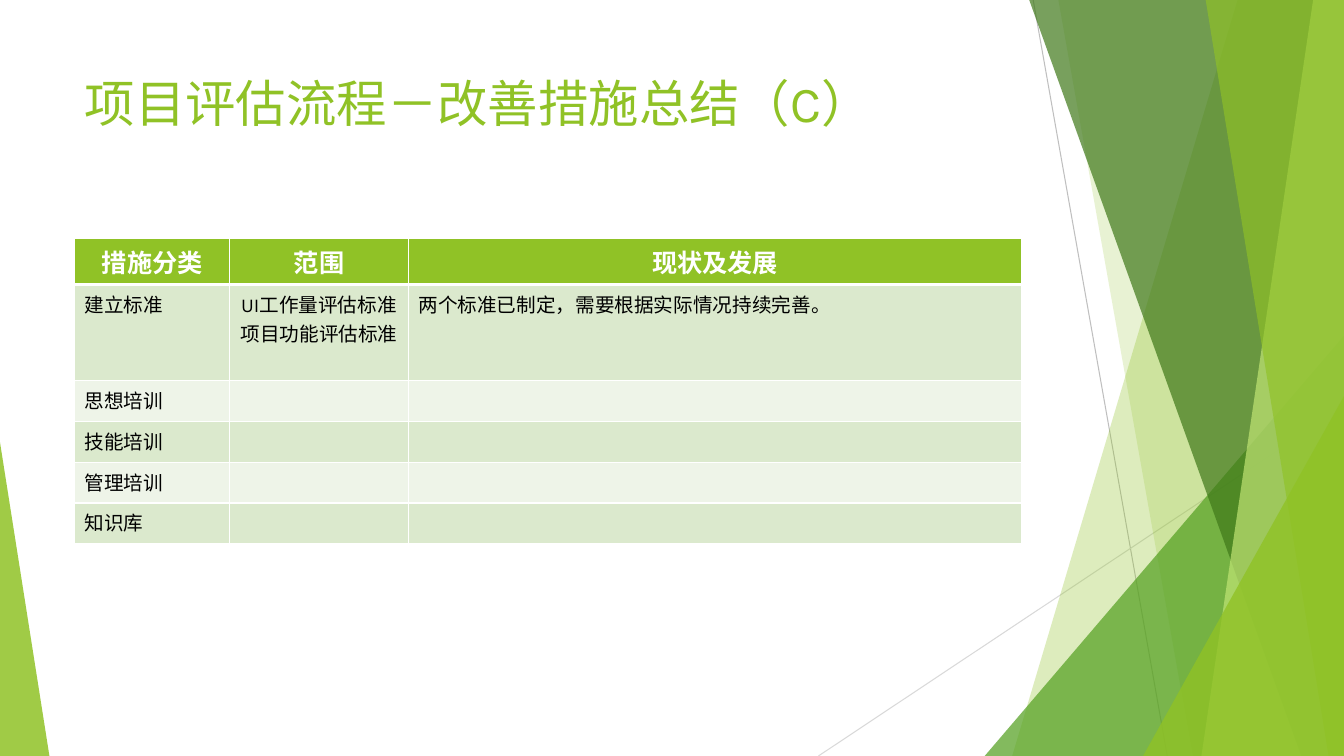
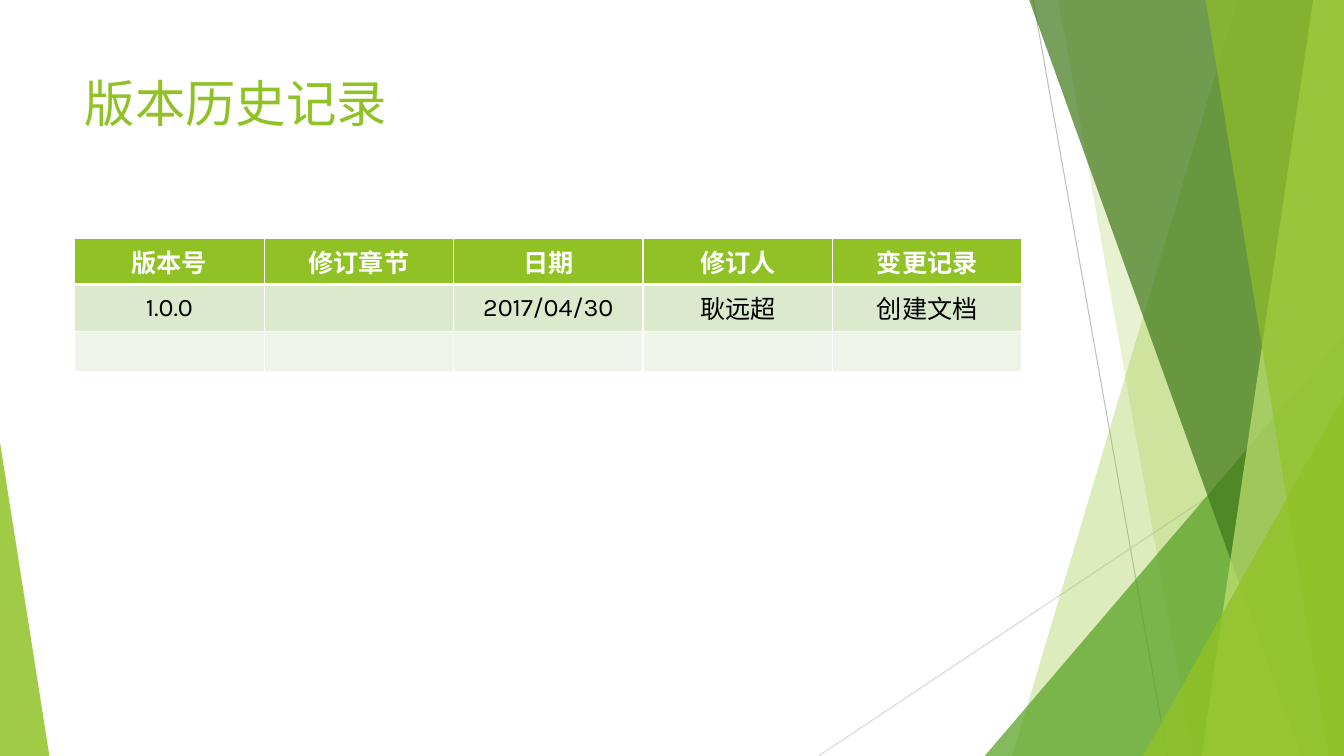
from lxml.etree import SubElement
from pptx import Presentation
from pptx.dml.color import RGBColor
from pptx.enum.shapes import MSO_CONNECTOR, MSO_SHAPE
from pptx.enum.text import MSO_ANCHOR as Anchor, MSO_AUTO_SIZE, PP_ALIGN as Align
from pptx.oxml.ns import qn
from pptx.util import Pt

WHITE = RGBColor(0xFF, 0xFF, 0xFF)
BLACK = RGBColor(0, 0, 0)
GREEN = RGBColor(0x90, 0xC2, 0x26)
LEAF = RGBColor(0x54, 0xA0, 0x21)
FOREST = RGBColor(0x3F, 0x78, 0x19)
LIME = RGBColor(0xC0, 0xE4, 0x74)
BAND_DARK = RGBColor(0xDB, 0xE9, 0xCD)
BAND_LIGHT = RGBColor(0xEE, 0xF4, 0xE8)
GRAY = RGBColor(0xBF, 0xBF, 0xBF)
PALE_GRAY = RGBColor(0xD9, 0xD9, 0xD9)

FONT = "Karla"
WIDTH, HEIGHT = 960, 540
LEFT, CONTENT_WIDTH = 53.3, 676.8
TITLE_TOP, TITLE_HEIGHT = 48, 104
TABLE_TOP, ROW_HEIGHT = 170, 29.2

PAGES = [
    {
        "title": "项目评估流程－改善措施总结（C）",
        "columns": [110.9, 127.5, 438.4],
        "aligns": [Align.LEFT, Align.CENTER, Align.LEFT],
        "anchor": Anchor.TOP,
        "body_size": 14,
        "rows": [
            ["措施分类", "范围", "现状及发展"],
            ["建立标准", "UI工作量评估标准\n项目功能评估标准",
             "两个标准已制定，需要根据实际情况持续完善。"],
            ["思想培训", "", ""],
            ["技能培训", "", ""],
            ["管理培训", "", ""],
            ["知识库", "", ""],
        ],
    },
    {
        "title": "版本历史记录",
        "columns": [CONTENT_WIDTH / 5] * 5,
        "aligns": [Align.CENTER] * 5,
        "anchor": Anchor.MIDDLE,
        "body_size": 18,
        "rows": [
            ["版本号", "修订章节", "日期", "修订人", "变更记录"],
            ["1.0.0", "", "2017/04/30", "耿远超", "创建文档"],
            [""] * 5,
        ],
    },
]

RAYS = [
    ((738, 0), (833.8, HEIGHT), GRAY),
    ((WIDTH, 290.2), (584.6, HEIGHT), PALE_GRAY),
]
FACETS = [
    ("band", (884, 723), GREEN, 30),
    ("band", (756, 852), GREEN, 20),
    ("corner", (703.4, 239.8, 256.6, 1), LEAF, 72),
    ("band", (735.2, 929.5), FOREST, 70),
    ("band", (938, 858.2), LIME, 70),
    ("band", (861.2, 949), GREEN, 65),
    ("corner", (816.5, 283, 143.5, 1), GREEN, 80),
    ("corner", (0, 316, 35.3, 0), GREEN, 85),
]


def add_ray(shapes, start, end, color):
    ray = shapes.add_connector(MSO_CONNECTOR.STRAIGHT, *map(Pt, start + end))
    ray.line.color.rgb = color
    ray.line.width = Pt(0.75)
    SubElement(ray.element.spPr, qn("a:effectLst"))
    return ray


def add_facet(shapes, kind, geometry, color, opacity):
    if kind == "band":
        top_x, bottom_x = geometry
        outline = shapes.build_freeform(Pt(top_x), 0)
        corners = [(WIDTH, 0), (WIDTH, HEIGHT), (bottom_x, HEIGHT)]
        outline.add_line_segments([(Pt(x), Pt(y)) for x, y in corners], close=True)
        facet = outline.convert_to_shape()
    else:
        left, top, width, apex = geometry
        facet = shapes.add_shape(MSO_SHAPE.ISOSCELES_TRIANGLE,
                                 Pt(left), Pt(top), Pt(width), Pt(HEIGHT - top))
        facet.adjustments[0] = apex
    facet.shadow.inherit = False
    facet.fill.solid()
    facet.fill.fore_color.rgb = color
    fill_color = facet.element.spPr.find(qn("a:solidFill")).find(qn("a:srgbClr"))
    SubElement(fill_color, qn("a:alpha"), val=str(opacity * 1000))
    facet.line.fill.background()
    return facet


def decorate_layout(layout, slide):
    for holder in list(layout.placeholders):
        if holder.placeholder_format.idx != 0:
            holder.element.getparent().remove(holder.element)
    decor = [add_ray(slide.shapes, *ray) for ray in RAYS]
    decor += [add_facet(slide.shapes, *facet) for facet in FACETS]
    for position, part in enumerate(decor, start=2):
        layout.shapes.element.insert(position, part.element)


def format_runs(paragraph, size, color, bold=False):
    for run in paragraph.runs:
        run.font.name = FONT
        run.font.size = Pt(size)
        run.font.bold = bold
        run.font.color.rgb = color


def set_title(slide, text):
    title = slide.shapes.title
    title.left, title.top = Pt(LEFT), Pt(TITLE_TOP)
    title.width, title.height = Pt(CONTENT_WIDTH), Pt(TITLE_HEIGHT)
    frame = title.text_frame
    frame.text = text
    frame.word_wrap = True
    frame.auto_size = MSO_AUTO_SIZE.NONE
    frame.vertical_anchor = Anchor.TOP
    frame.paragraphs[0].alignment = Align.LEFT
    format_runs(frame.paragraphs[0], 36, GREEN)


def set_borders(cell, top, bottom):
    properties = cell._tc.get_or_add_tcPr()
    for side, width in (("L", 1), ("R", 1), ("T", top), ("B", bottom)):
        border = SubElement(properties, qn(f"a:ln{side}"), w=str(Pt(width)))
        fill = SubElement(border, qn("a:solidFill"))
        SubElement(fill, qn("a:srgbClr"), val=str(WHITE))


def add_page_table(slide, page):
    rows, columns = page["rows"], page["columns"]
    table = slide.shapes.add_table(
        len(rows), len(columns), Pt(LEFT), Pt(TABLE_TOP),
        Pt(CONTENT_WIDTH), Pt(ROW_HEIGHT * len(rows))).table
    for column, width in zip(table.columns, columns):
        column.width = Pt(width)
    for row_index, texts in enumerate(rows):
        table.rows[row_index].height = Pt(ROW_HEIGHT)
        header = row_index == 0
        band = GREEN if header else BAND_DARK if row_index % 2 else BAND_LIGHT
        for column_index, text in enumerate(texts):
            cell = table.cell(row_index, column_index)
            set_borders(cell, 3 if row_index == 1 else 1, 3 if header else 1)
            cell.fill.solid()
            cell.fill.fore_color.rgb = band
            cell.vertical_anchor = page["anchor"]
            cell.text_frame.text = text
            for paragraph in cell.text_frame.paragraphs:
                paragraph.alignment = Align.CENTER if header else page["aligns"][column_index]
                format_runs(paragraph, 18 if header else page["body_size"],
                            WHITE if header else BLACK, header)


def main():
    deck = Presentation()
    deck.slide_width, deck.slide_height = Pt(WIDTH), Pt(HEIGHT)
    layout = deck.slide_layouts[5]
    slides = [deck.slides.add_slide(layout) for _ in PAGES]
    decorate_layout(layout, slides[0])
    for slide, page in zip(slides, PAGES):
        set_title(slide, page["title"])
        add_page_table(slide, page)
    deck.save("out.pptx")


if __name__ == "__main__":
    main()
